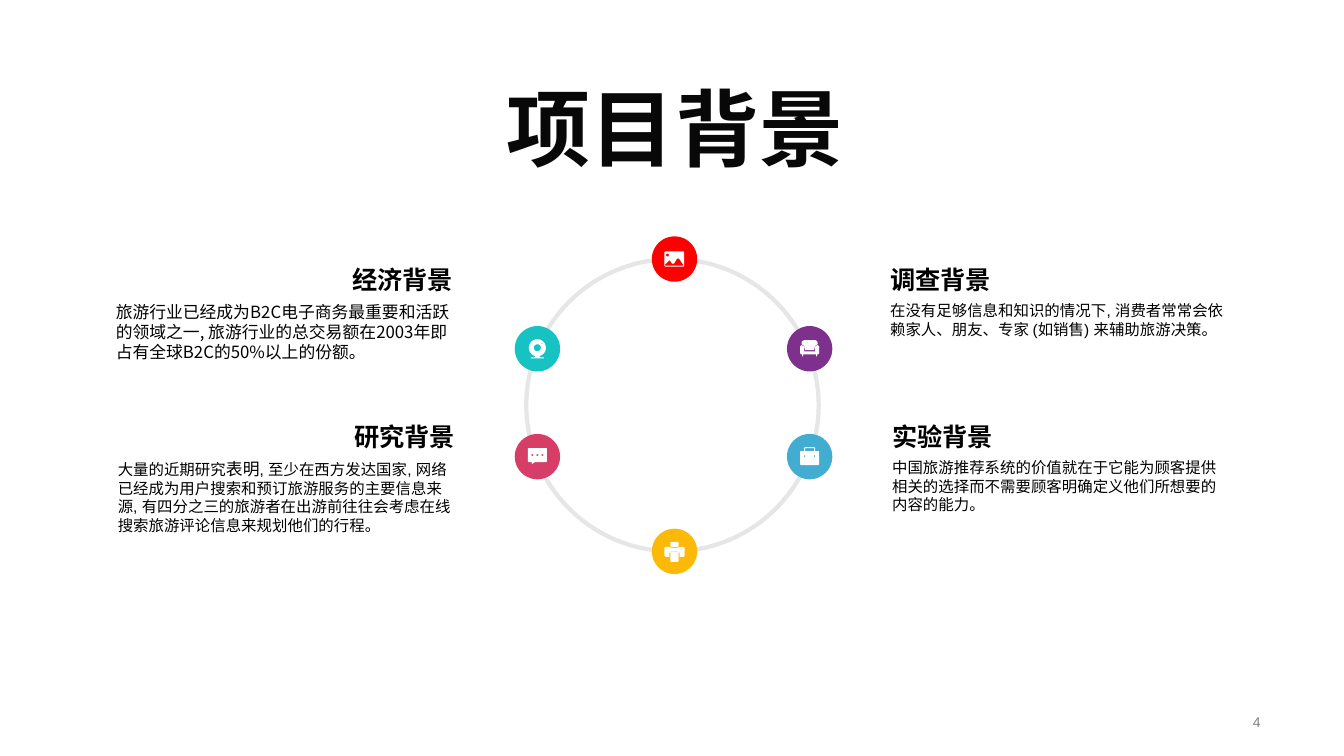
from dataclasses import dataclass
from math import cos, radians, sin

from pptx import Presentation
from pptx.dml.color import RGBColor
from pptx.enum.shapes import MSO_SHAPE
from pptx.enum.text import MSO_ANCHOR, PP_ALIGN
from pptx.util import Inches, Pt

OVAL = MSO_SHAPE.OVAL
LEFT, CENTER, RIGHT = PP_ALIGN.LEFT, PP_ALIGN.CENTER, PP_ALIGN.RIGHT
TOP, MIDDLE, BOTTOM = MSO_ANCHOR.TOP, MSO_ANCHOR.MIDDLE, MSO_ANCHOR.BOTTOM


@dataclass(frozen=True)
class Theme:
    font: str = "Arial"
    chinese_font: str = "Noto Sans CJK SC"
    ink: str = "000000"
    title_ink: str = "080808"
    muted: str = "808080"
    ring: str = "E6E6E6"
    icon: str = "FFFFFF"
    red: str = "FF0000"
    teal: str = "16C2C2"
    purple: str = "7D318C"
    pink: str = "D63E67"
    yellow: str = "FCB908"
    blue: str = "42ACD1"
    title_size: int = 60
    heading_size: int = 18
    large_size: int = 12
    body_size: int = 11
    number_size: int = 10


# Icon outlines, in hundredths of an inch from the badge centre
def rounded(left, top, right, bottom, radius):
    corners = [(right - radius, bottom - radius, 0), (left + radius, bottom - radius, 90),
               (left + radius, top + radius, 180), (right - radius, top + radius, 270)]
    return [(x + radius * cos(radians(start + step)), y + radius * sin(radians(start + step)))
            for x, y, start in corners for step in range(0, 91, 15)]


def dot(x, y, radius):
    return rounded(x - radius, y - radius, x + radius, y + radius, radius)


def mirrored(right_half):
    return right_half + [(-x, y) for x, y in reversed(right_half)]


PHOTO = [rounded(-10, -7.5, 9.5, 7.5, 1), dot(-7, -4, 1.5),
         [(-9.5, 6.5), (-9.5, 5.5), (-5.5, 1.5), (-4.5, 1.5), (-2.5, 4.5), (-0.5, 4.5),
          (2.5, -0.5), (4.5, -0.5), (8.5, 5.5), (8.5, 6.5)]]
WEBCAM = [dot(0, -1, 8.5), dot(0, -1, 3.5), dot(4.5, -5, 0.5),
          mirrored([(2, 7.5), (3, 8.5), (6.5, 8.5), (6.5, 9.5)])]
SOFA = [mirrored([(5.5, 2.5), (5.5, -1.5), (6.5, -3), (8, -3.5), (9.5, -2.5), (9.5, 4.5),
                  (8.5, 5.5), (7.5, 5.5), (7.5, 7.5), (6.5, 7.5), (6.5, 5.5)]),
        mirrored([(5.5, -8.5), (7.5, -7.5), (8, -5.5), (8, -4.5), (6, -3.5), (5, -1.5),
                  (4.5, 1.5)])]
CHAT = [rounded(-9.5, -8.5, 9.5, 5.5, 1), [(-5.5, 5.5), (-2.5, 5.5), (-5.5, 7.5)],
        *[dot(x, -1.5, 1) for x in (-5, 0, 5)]]
PRINTER = [rounded(-4, -9.5, 4, -4.5, 1), rounded(-4, 0.5, 4, 10.5, 1), dot(7, -2, 0.5),
           mirrored([(3, -3.5), (5, -4.5), (9, -4.5), (10, -3.5), (10, 4.5), (9, 5.5),
                     (5, 5.5), (5, 1.5), (3, 0)])]
BRIEFCASE = [rounded(-9.5, -5.5, 9.5, -1.5, 1),
             mirrored([(4.5, -1.2), (4.5, 0.5), (5.5, 0.5), (5.5, -1.2), (9.5, -1.2),
                       (9.5, 7.5), (8.5, 8.5)]),
             mirrored([(4.5, -5.5), (4.5, -8.5)]),
             mirrored([(5.5, -5.5), (5.5, -8.5), (4.5, -9.5)])]


class SlideBuilder:
    def __init__(self, slide, theme):
        self.slide = slide
        self.theme = theme

    def paint(self, shape, color):
        shape.shadow.inherit = False
        shape.fill.solid()
        shape.fill.fore_color.rgb = RGBColor.from_string(color)
        shape.line.fill.background()

    def text(self, box, content, size, color=None, bold=False, align=LEFT, anchor=TOP,
             font=None, spacing=None):
        """Content is a string, or a list of (string, size) runs."""
        frame = self.slide.shapes.add_textbox(*map(Inches, box)).text_frame
        frame.word_wrap = True
        frame.vertical_anchor = anchor
        paragraph = frame.paragraphs[0]
        paragraph.alignment = align
        paragraph.line_spacing = spacing
        paragraph.font.name = font or self.theme.font
        paragraph.font.size = Pt(size)
        paragraph.font.bold = bold
        paragraph.font.color.rgb = RGBColor.from_string(color or self.theme.ink)
        runs = [(content, size)] if isinstance(content, str) else content
        for words, run_size in runs:
            run = paragraph.add_run()
            run.text = words
            if run_size != size:
                run.font.size = Pt(run_size)

    def ring(self, left, top, diameter):
        shape = self.slide.shapes.add_shape(
            OVAL, Inches(left), Inches(top), Inches(diameter), Inches(diameter))
        shape.shadow.inherit = False
        shape.fill.background()
        shape.line.color.rgb = RGBColor.from_string(self.theme.ring)
        shape.line.width = Pt(3)

    def icon(self, center_x, center_y, outlines):
        placed = [[(Inches(center_x + x / 100), Inches(center_y + y / 100)) for x, y in outline]
                  for outline in outlines]
        builder = self.slide.shapes.build_freeform(*placed[0][0])
        for index, points in enumerate(placed):
            if index:
                builder.move_to(*points[0])
            builder.add_line_segments(points[1:], close=True)
        self.paint(builder.convert_to_shape(), self.theme.icon)

    def badge(self, center_x, center_y, color, outlines, diameter=0.45):
        shape = self.slide.shapes.add_shape(
            OVAL, Inches(center_x - diameter / 2), Inches(center_y - diameter / 2),
            Inches(diameter), Inches(diameter))
        self.paint(shape, color)
        self.icon(center_x, center_y, outlines)

    def topic(self, left, top, heading, body, body_height, align, size=None, font=None):
        self.text((left, top, 3.54, 0.4), heading, self.theme.heading_size, bold=True,
                  align=align, anchor=MIDDLE)
        self.text((left, top + 0.37, 3.54, body_height), body,
                  size or self.theme.body_size, font=font)


def main():
    presentation = Presentation()
    presentation.slide_width = Inches(13.33)
    presentation.slide_height = Inches(7.5)
    theme = Theme()
    builder = SlideBuilder(presentation.slides.add_slide(presentation.slide_layouts[6]), theme)

    # Title and page number
    builder.text((3.86, 0.64, 5.67, 1.18), "项目背景", theme.title_size, theme.title_ink,
                 bold=True, align=CENTER, anchor=BOTTOM, spacing=0.9)
    builder.text((9.69, 7.04, 2.91, 0.24), "4", theme.number_size, theme.muted,
                 align=RIGHT, anchor=MIDDLE)

    # Ring with six badges
    builder.ring(5.22, 2.57, 2.9)
    left_x, middle_x, right_x = 5.33, 6.69, 8.03
    upper_y, lower_y = 3.46, 4.53
    for center_x, center_y, color, outlines in [
        (middle_x, 2.57, theme.red, PHOTO),
        (left_x, upper_y, theme.teal, WEBCAM),
        (right_x, upper_y, theme.purple, SOFA),
        (left_x, lower_y, theme.pink, CHAT),
        (middle_x, 5.47, theme.yellow, PRINTER),
        (right_x, lower_y, theme.blue, BRIEFCASE),
    ]:
        builder.badge(center_x, center_y, color, outlines)

    # Four topics
    upper_top, lower_top = 2.57, 4.13
    builder.topic(8.75, lower_top, "实验背景",
                  "中国旅游推荐系统的价值就在于它能为顾客提供相关的选择而不需要顾客明确定义他们所想要的内容的能力。",
                  0.66, LEFT)
    builder.topic(1.05, upper_top, "经济背景",
                  "旅游行业已经成为B2C电子商务最重要和活跃的领域之一, 旅游行业的总交易额在2003年即占有全球B2C的50%以上的份额。",
                  0.71, RIGHT, theme.large_size, theme.chinese_font)
    builder.topic(1.07, lower_top, "研究背景",
                  [("大量的近期研究", theme.body_size), ("表明", theme.large_size),
                   (", 至少在西方发达国家, 网络已经成为用户搜索和预订旅游服务的主要信息来源, "
                    "有四分之三的旅游者在出游前往往会考虑在线搜索旅游评论信息来规划他们的行程。",
                    theme.body_size)],
                  0.86, RIGHT)
    builder.topic(8.73, upper_top, "调查背景",
                  "在没有足够信息和知识的情况下, 消费者常常会依赖家人、朋友、专家 (如销售) 来辅助旅游决策。",
                  0.47, LEFT)

    presentation.save("out.pptx")


if __name__ == "__main__":
    main()
